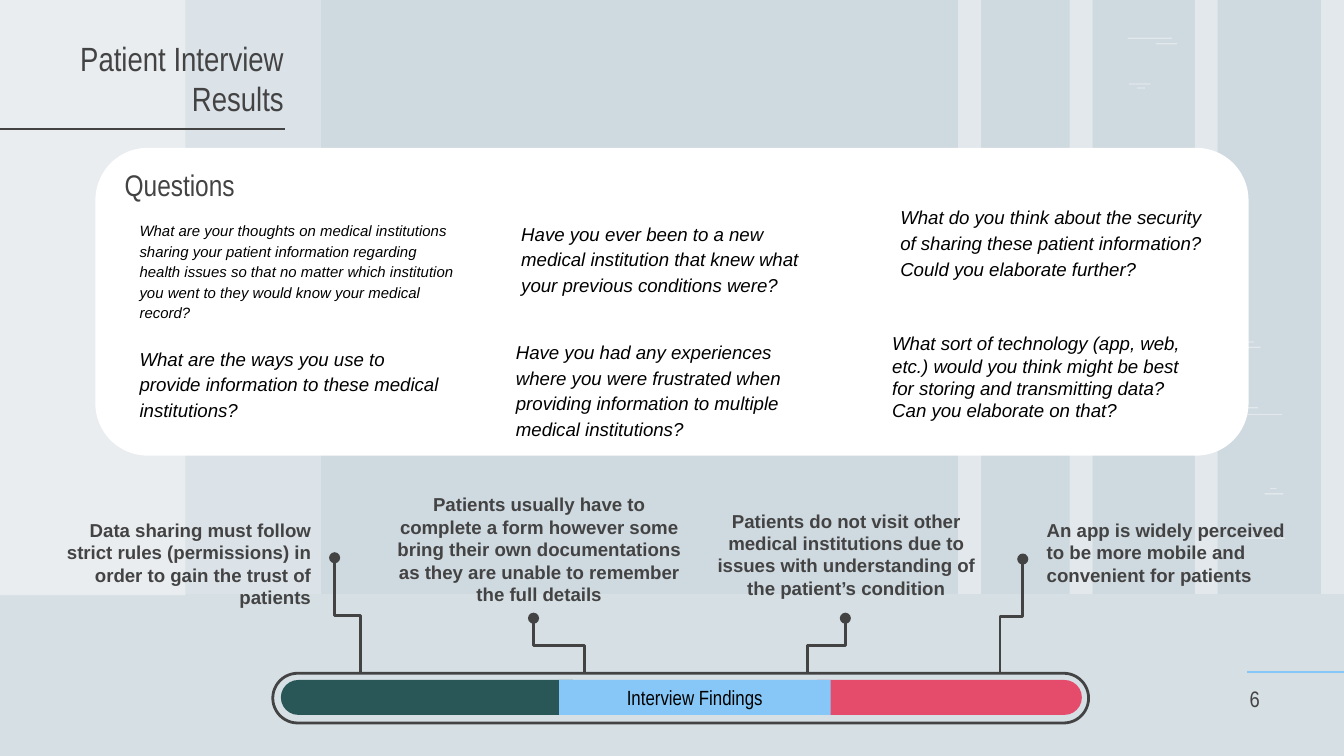
from dataclasses import dataclass

from lxml import etree
from pptx import Presentation
from pptx.dml.color import RGBColor
from pptx.enum.shapes import MSO_CONNECTOR, MSO_SHAPE
from pptx.enum.text import MSO_ANCHOR, PP_ALIGN
from pptx.oxml.ns import qn
from pptx.util import Inches, Pt

RECTANGLE, ROUNDED = MSO_SHAPE.RECTANGLE, MSO_SHAPE.ROUNDED_RECTANGLE
STRAIGHT, ELBOW = MSO_CONNECTOR.STRAIGHT, MSO_CONNECTOR.ELBOW
LEFT, CENTER, RIGHT = PP_ALIGN.LEFT, PP_ALIGN.CENTER, PP_ALIGN.RIGHT
TOP, MIDDLE, BOTTOM = MSO_ANCHOR.TOP, MSO_ANCHOR.MIDDLE, MSO_ANCHOR.BOTTOM


@dataclass(frozen=True)
class Theme:
    sky: RGBColor = RGBColor(0xCF, 0xD9, 0xE0)
    white: RGBColor = RGBColor(0xFF, 0xFF, 0xFF)
    black: RGBColor = RGBColor(0, 0, 0)
    ink: RGBColor = RGBColor(0x43, 0x43, 0x43)
    blue: RGBColor = RGBColor(0x86, 0xC7, 0xF7)
    teal: RGBColor = RGBColor(0x29, 0x57, 0x58)
    red: RGBColor = RGBColor(0xE5, 0x4C, 0x6B)
    body: str = "Arial"
    heading: str = "Arial Narrow"
    title_size: int = 18
    subtitle_size: int = 16
    number_size: int = 12
    label_size: int = 11
    body_size: int = 10
    small_size: int = 8
    line_width: float = 1.5


THEME = Theme()


@dataclass(frozen=True)
class Box:
    left: float
    top: float
    width: float
    height: float

    def lengths(self) -> list:
        return [Inches(v) for v in (self.left, self.top, self.width, self.height)]


@dataclass(frozen=True)
class Style:
    font: str
    size: int
    color: RGBColor = THEME.ink
    bold: bool = False
    italic: bool = False
    spacing: float = 1.0


@dataclass(frozen=True)
class Question:
    box: Box
    text: str
    size: int = THEME.body_size
    spacing: float = 1.15


@dataclass(frozen=True)
class Finding:
    box: Box
    text: str
    align: PP_ALIGN
    foot_x: float
    dot_x: float
    dot_y: float


SLIDE_WIDTH = 10
SLIDE_HEIGHT = SLIDE_WIDTH * 9 / 16
BAR_TOP = 5.01
HORIZON = 4.42

# Scenery: boxes grouped by the opacity (percent) of their white fill
PILLARS = [Box(x, 0, 0.17, HORIZON) for x in (7.13, 7.96, 8.89, 9.83)]
STREAKS = [Box(x, y, w, 0.01) for x, y, w in (
    (8.39, 0.28, 0.33), (8.6, 0.32, 0.16), (8.4, 0.62, 0.16), (8.46, 0.65, 0.06),
    (9.27, 4.0, 0.29), (9.24, 3.96, 0.14), (9.26, 3.08, 0.28), (9.22, 3.03, 0.14),
    (9.41, 3.67, 0.14), (9.45, 3.63, 0.05), (9.24, 2.58, 0.14), (9.28, 2.54, 0.05))]
SCENERY = {
    40: [Box(0, 0, 1.38, 4.43), *PILLARS, *STREAKS],
    26: [Box(0, 0, 2.39, HORIZON)],
    16: [Box(0, HORIZON, SLIDE_WIDTH, SLIDE_HEIGHT - HORIZON)],
}

QUESTIONS = [
    Question(Box(0.94, 1.53, 2.57, 0.72), "What are your thoughts on medical institutions sharing your patient "
             "information regarding health issues so that no matter which institution you went to they would "
             "know your medical record?", THEME.small_size),
    Question(Box(0.94, 2.46, 2.48, 0.72),
             "What are the ways you use to provide information to these medical institutions?"),
    Question(Box(3.78, 1.53, 2.48, 0.72),
             "Have you ever been to a new medical institution that knew what your previous conditions were?"),
    Question(Box(3.74, 2.41, 2.48, 0.72), "Have you had any experiences where you were frustrated when "
             "providing information to multiple medical institutions?"),
    Question(Box(6.6, 1.41, 2.48, 0.72), "What do you think about the security of sharing these patient "
             "information? Could you elaborate further?"),
    Question(Box(6.54, 2.37, 2.48, 0.72), "What sort of technology (app, web, etc.) would you think might be "
             "best for storing and transmitting data? Can you elaborate on that?", spacing=1.0),
]

FINDINGS = [
    Finding(Box(0.39, 3.76, 2.02, 0.72), "Data sharing must follow strict rules (permissions) in order to gain "
            "the trust of patients", RIGHT, 2.68, 2.49, 4.15),
    Finding(Box(2.82, 3.57, 2.38, 0.91), "Patients usually have to complete a form however some bring their own "
            "documentations as they are unable to remember the full details", CENTER, 4.35, 3.97, 4.6),
    Finding(Box(5.2, 3.69, 2.19, 0.91), "Patients do not visit other medical institutions due to issues with "
            "understanding of the patient’s condition", CENTER, 6.01, 6.29, 4.6),
    Finding(Box(7.69, 3.76, 2.06, 0.72), "An app is widely perceived to be more mobile and convenient for "
            "patients", LEFT, 7.44, 7.61, 4.16),
]


def add_block(slide, box: Box, fill: RGBColor | None, kind=RECTANGLE, rounding: float = 0, opacity: int = 100):
    """Add a borderless shape; a fill of None leaves it hollow."""
    block = slide.shapes.add_shape(kind, *box.lengths())
    block.shadow.inherit = False
    block.line.fill.background()
    if kind == ROUNDED:
        block.adjustments[0] = rounding
    if fill is None:
        block.fill.background()
    else:
        block.fill.solid()
        block.fill.fore_color.rgb = fill
    if opacity < 100:
        color = block._element.spPr.find(qn("a:solidFill"))[0]
        etree.SubElement(color, qn("a:alpha")).set("val", str(opacity * 1000))
    return block


def write(shape, text: str, style: Style, align=LEFT, anchor=TOP) -> None:
    frame = shape.text_frame
    margins = {f"margin_{side}": Inches(0.1) for side in ("left", "top", "right", "bottom")}
    paragraph = frame.paragraphs[0]
    run = paragraph.add_run()
    run.text = text
    formats = [
        (frame, {"word_wrap": True, "vertical_anchor": anchor, **margins}),
        (paragraph, {"alignment": align, "line_spacing": style.spacing}),
        (run.font, {"name": style.font, "size": Pt(style.size), "bold": style.bold, "italic": style.italic}),
    ]
    for target, values in formats:
        for name, value in values.items():
            setattr(target, name, value)
    run.font.color.rgb = style.color


def add_text(slide, box: Box, text: str, style: Style, align=LEFT, anchor=TOP) -> None:
    write(slide.shapes.add_textbox(*box.lengths()), text, style, align, anchor)


def add_line(slide, kind, start: tuple[float, float], end: tuple[float, float], color: RGBColor):
    line = slide.shapes.add_connector(kind, *(Inches(v) for v in (*start, *end)))
    line.line.color.rgb = color
    line.line.width = Pt(THEME.line_width)
    etree.SubElement(line._element.spPr, qn("a:effectLst"))
    return line


def add_pin(slide, finding: Finding) -> None:
    """Rise from the bar to a dot: a horizontal elbow turned a quarter about its centre."""
    shift = finding.dot_x - finding.foot_x
    center_x = (finding.foot_x + finding.dot_x) / 2
    center_y = (BAR_TOP + finding.dot_y) / 2
    reach = (BAR_TOP - finding.dot_y) / 2 * (1 if shift > 0 else -1)
    drop = abs(shift) / 2
    pin = add_line(slide, ELBOW, (center_x - reach, center_y - drop),
                   (center_x + reach, center_y + drop), THEME.ink)
    quarter_turn = 270 if shift > 0 else 90
    pin._element.spPr.find(qn("a:xfrm")).set("rot", str(quarter_turn * 60000))
    etree.SubElement(pin.get_or_add_ln(), qn("a:tailEnd")).set("type", "oval")


def add_findings_bar(slide) -> None:
    capsule = add_block(slide, Box(2.03, BAR_TOP, 6.07, 0.37), None, ROUNDED, 0.5)
    capsule.line.color.rgb = THEME.ink
    capsule.line.width = Pt(THEME.line_width)
    add_block(slide, Box(2.09, 5.06, 2.3, 0.26), THEME.teal, ROUNDED, 0.5)
    add_block(slide, Box(5.95, 5.06, 2.1, 0.26), THEME.red, ROUNDED, 0.5)
    label = add_block(slide, Box(4.16, 5.06, 2.02, 0.26), THEME.blue)
    write(label, "Interview Findings", Style(THEME.heading, THEME.label_size, THEME.black), CENTER, MIDDLE)


def main() -> None:
    deck = Presentation()
    deck.slide_width, deck.slide_height = Inches(SLIDE_WIDTH), Inches(SLIDE_HEIGHT)
    slide = deck.slides.add_slide(deck.slide_layouts[6])
    slide.background.fill.solid()
    slide.background.fill.fore_color.rgb = THEME.sky

    for opacity, boxes in SCENERY.items():
        for box in boxes:
            add_block(slide, box, THEME.white, opacity=opacity)
    add_line(slide, STRAIGHT, (9.28, 5), (SLIDE_WIDTH, 5), THEME.blue)
    add_line(slide, STRAIGHT, (0, 0.96), (2.12, 0.96), THEME.ink)
    add_text(slide, Box(0, 0.66, 2.21, 0.32), "Patient Interview Results",
             Style(THEME.heading, THEME.title_size), RIGHT, BOTTOM)
    add_text(slide, Box(9.2, 4.97, 0.35, 0.43), "6", Style(THEME.heading, THEME.number_size), anchor=BOTTOM)

    add_block(slide, Box(0.71, 1.1, 8.58, 2.29), THEME.white, ROUNDED, 0.17)
    add_text(slide, Box(0.83, 1.29, 1.14, 0.32), "Questions",
             Style(THEME.heading, THEME.subtitle_size), anchor=BOTTOM)
    for question in QUESTIONS:
        add_text(slide, question.box, question.text,
                 Style(THEME.body, question.size, THEME.black, italic=True, spacing=question.spacing))

    add_findings_bar(slide)
    for finding in FINDINGS:
        add_pin(slide, finding)
        add_text(slide, finding.box, finding.text,
                 Style(THEME.body, THEME.body_size, bold=True), finding.align)
    deck.save("out.pptx")


if __name__ == "__main__":
    main()
